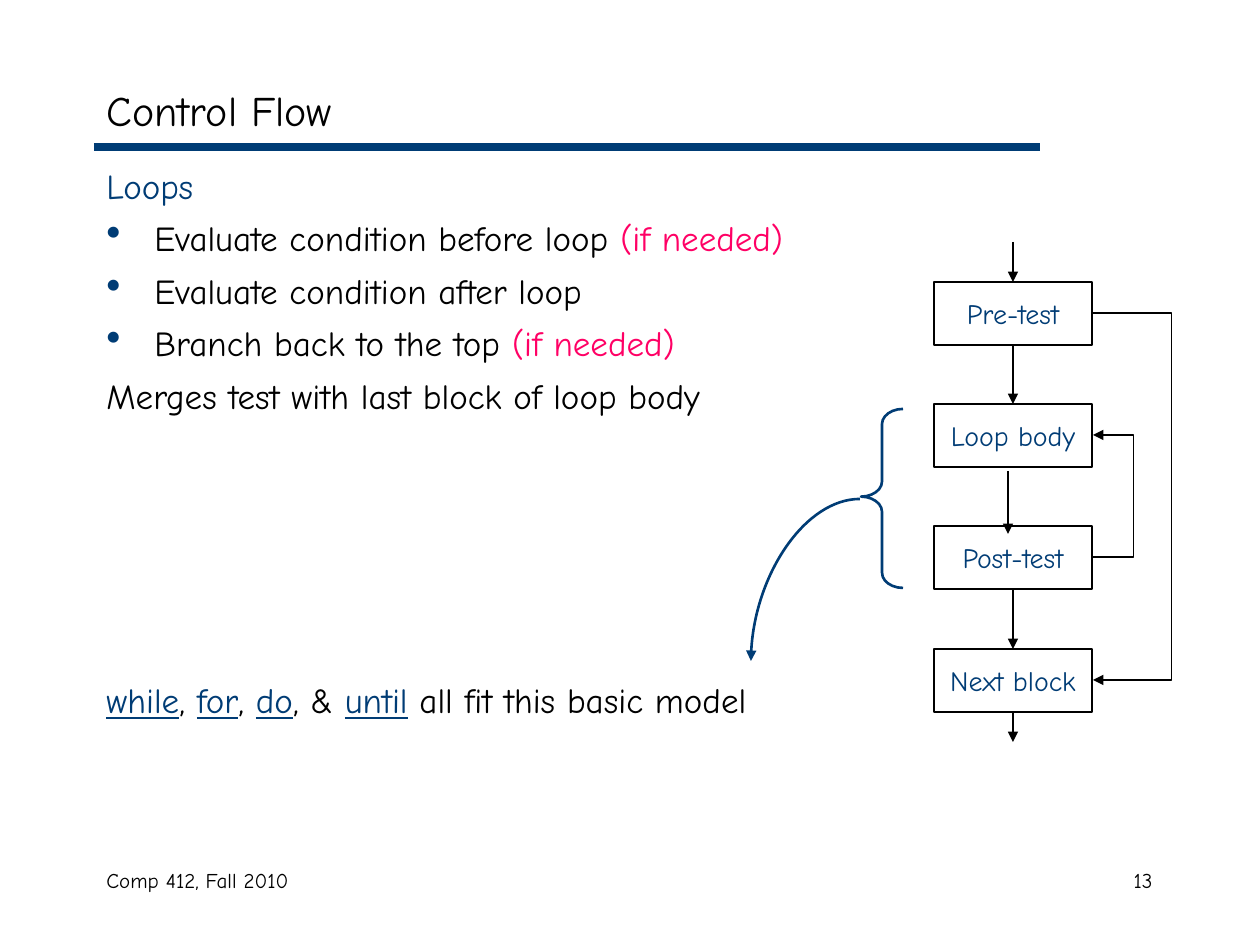
from dataclasses import dataclass

from lxml import etree
from pptx import Presentation
from pptx.dml.color import RGBColor
from pptx.enum.shapes import MSO_CONNECTOR, MSO_SHAPE
from pptx.enum.text import MSO_ANCHOR, MSO_AUTO_SIZE, PP_ALIGN
from pptx.oxml.ns import qn
from pptx.util import Emu, Pt

STRAIGHT, ELBOW, CURVE = MSO_CONNECTOR.STRAIGHT, MSO_CONNECTOR.ELBOW, MSO_CONNECTOR.CURVE
RECTANGLE, LEFT_BRACE = MSO_SHAPE.RECTANGLE, MSO_SHAPE.LEFT_BRACE
TOP, MIDDLE = MSO_ANCHOR.TOP, MSO_ANCHOR.MIDDLE
LEFT, CENTER, RIGHT = PP_ALIGN.LEFT, PP_ALIGN.CENTER, PP_ALIGN.RIGHT
NO_FIT = MSO_AUTO_SIZE.NONE
TOP_SIDE, BOTTOM_SIDE = 0, 2


@dataclass(frozen=True)
class Theme:
    font: str = "Comic Neue"
    ink: str = "000000"
    navy: str = "003C75"
    pink: str = "FF0065"
    title: int = 24
    body: int = 20
    block: int = 16
    footer: int = 12
    rule: float = 4.5
    accent: float = 1.5
    outline: float = 1
    arrow: float = 0.75


THEME = Theme()
BLOCKS = ["Pre-test", "Loop body", "Post-test", "Next block"]
BLOCK_LEFT, BLOCK_TOP, BLOCK_WIDTH, BLOCK_HEIGHT = 934, 282, 158, 63
BLOCK_SPAN = 367
FLOW_X = BLOCK_LEFT + BLOCK_WIDTH // 2
BODY = [
    (0, False, [("Loops", THEME.navy)]),
    (6, True, [("Evaluate condition before loop ", THEME.ink), ("(if needed)", THEME.pink)]),
    (6, True, [("Evaluate condition after loop", THEME.ink)]),
    (6, True, [("Branch back to the top ", THEME.ink), ("(if needed)", THEME.pink)]),
    (6, False, [("Merges test with last block of loop body", THEME.ink)]),
]
KEYWORDS = [("while", ", "), ("for", ", "), ("do", ", & "),
            ("until", " all fit this basic model")]


def px(value):
    return Emu(round(value * 914400 / 126))


def color(code):
    return RGBColor.from_string(code)


def add_span(para, text, size, code, underline=False):
    span = para.add_run()
    span.text = text
    span.font.name = THEME.font
    span.font.size = Pt(size)
    span.font.color.rgb = color(code)
    if underline:
        span.font.underline = True


def set_up_frame(frame, anchor, wrap=True):
    frame.word_wrap = wrap
    frame.auto_size = NO_FIT
    frame.vertical_anchor = anchor


def add_label(page, bounds, text, align):
    box = page.shapes.add_textbox(*map(px, bounds))
    set_up_frame(box.text_frame, TOP)
    para = box.text_frame.paragraphs[0]
    para.alignment = align
    add_span(para, text, THEME.footer, THEME.ink)


def set_title(page, text):
    title = page.shapes.title
    title.left, title.top, title.width, title.height = map(px, (94, 73, 1071, 74))
    set_up_frame(title.text_frame, MIDDLE)
    para = title.text_frame.paragraphs[0]
    para.alignment = LEFT
    add_span(para, text, THEME.title, THEME.ink)


def set_indent(para, bulleted):
    props = para._p.get_or_add_pPr()
    props.set("marL", str(px(48)))
    props.set("indent", str(px(-48)))
    if bulleted:
        bullet_color = etree.SubElement(props, qn("a:buClr"))
        etree.SubElement(bullet_color, qn("a:srgbClr"), val=THEME.navy)
        etree.SubElement(props, qn("a:buSzPct"), val="120000")
        etree.SubElement(props, qn("a:buChar"), char="•")


def add_body(page):
    box = page.shapes.add_textbox(*map(px, (94, 158, 1071, 682)))
    frame = box.text_frame
    set_up_frame(frame, TOP)
    for index, (space, bulleted, spans) in enumerate(BODY):
        para = frame.add_paragraph() if index else frame.paragraphs[0]
        para.space_before = Pt(space)
        set_indent(para, bulleted)
        for text, code in spans:
            add_span(para, text, THEME.body, code)
    para = frame.add_paragraph()
    para.space_before = Pt(150)
    set_indent(para, False)
    for keyword, rest in KEYWORDS:
        add_span(para, keyword, THEME.body, THEME.navy, True)
        add_span(para, rest, THEME.body, THEME.ink)


def add_block(page, top, text):
    block = page.shapes.add_shape(
        RECTANGLE, *map(px, (BLOCK_LEFT, top, BLOCK_WIDTH, BLOCK_HEIGHT)))
    block.shadow.inherit = False
    block.fill.background()
    block.line.color.rgb = color(THEME.ink)
    block.line.width = Pt(THEME.outline)
    set_up_frame(block.text_frame, MIDDLE, False)
    para = block.text_frame.paragraphs[0]
    para.alignment = CENTER
    add_span(para, text, THEME.block, THEME.navy)
    return block


def add_line(page, kind, start, end, code=THEME.ink, width=THEME.arrow, arrow=True):
    line = page.shapes.add_connector(kind, *map(px, (*start, *end)))
    line.line.color.rgb = color(code)
    line.line.width = Pt(width)
    if arrow:
        etree.SubElement(line.line._get_or_add_ln(), qn("a:tailEnd"), type="triangle")
    etree.SubElement(line.element.spPr, qn("a:effectLst"))
    return line


def add_flow(page, start_y, end_y, source=None, target=None):
    line = add_line(page, STRAIGHT, (FLOW_X, start_y), (FLOW_X, end_y))
    if source is not None:
        line.begin_connect(source, BOTTOM_SIDE)
    if target is not None:
        line.end_connect(target, TOP_SIDE)


def add_branch(page, source_top, target_top, reach):
    right, middle = BLOCK_LEFT + BLOCK_WIDTH, BLOCK_HEIGHT // 2
    line = add_line(page, ELBOW, (right, source_top + middle),
                    (right + 1, target_top + middle))
    guides = line.element.spPr.find(qn("a:prstGeom")).get_or_add_avLst()
    etree.SubElement(guides, qn("a:gd"), name="adj1", fmla=f"val {reach * 100000}")


def add_flowchart(page):
    tops = [BLOCK_TOP + BLOCK_SPAN * i // 3 for i in range(len(BLOCKS))]
    pre, loop, post, following = [add_block(page, top, text)
                                  for top, text in zip(tops, BLOCKS)]
    bottoms = [top + BLOCK_HEIGHT for top in tops]
    add_flow(page, 242, tops[0], target=pre)
    add_flow(page, bottoms[0], tops[1], pre, loop)
    add_line(page, STRAIGHT, (1008, 471), (1008, 534))
    add_flow(page, bottoms[2], tops[3], post, following)
    add_flow(page, bottoms[3], 742, source=following)
    add_branch(page, tops[2], tops[1], 42)
    add_branch(page, tops[0], tops[3], 80)


def add_merge_mark(page):
    brace = page.shapes.add_shape(LEFT_BRACE, *map(px, (861, 409, 42, 179)))
    brace.shadow.inherit = False
    brace.fill.background()
    brace.line.color.rgb = color(THEME.navy)
    brace.line.width = Pt(THEME.accent)
    brace.adjustments[0] = 0.36
    brace.adjustments[1] = 0.49
    curve = add_line(page, CURVE, (860, 499), (751, 661), THEME.navy, THEME.accent)
    curve.element.spPr.find(qn("a:prstGeom")).set("prst", "curvedConnector2")


def main():
    deck = Presentation()
    deck.slide_width, deck.slide_height = px(1260), px(945)
    page = deck.slides.add_slide(deck.slide_layouts[5])
    add_line(page, STRAIGHT, (94, 147), (1040, 147), THEME.navy, THEME.rule, False)
    add_label(page, (94, 861, 399, 63), "Comp 412, Fall 2010", LEFT)
    add_label(page, (903, 861, 262, 63), "13", RIGHT)
    set_title(page, "Control Flow")
    add_body(page)
    add_flowchart(page)
    add_merge_mark(page)
    deck.save("out.pptx")


if __name__ == "__main__":
    main()
